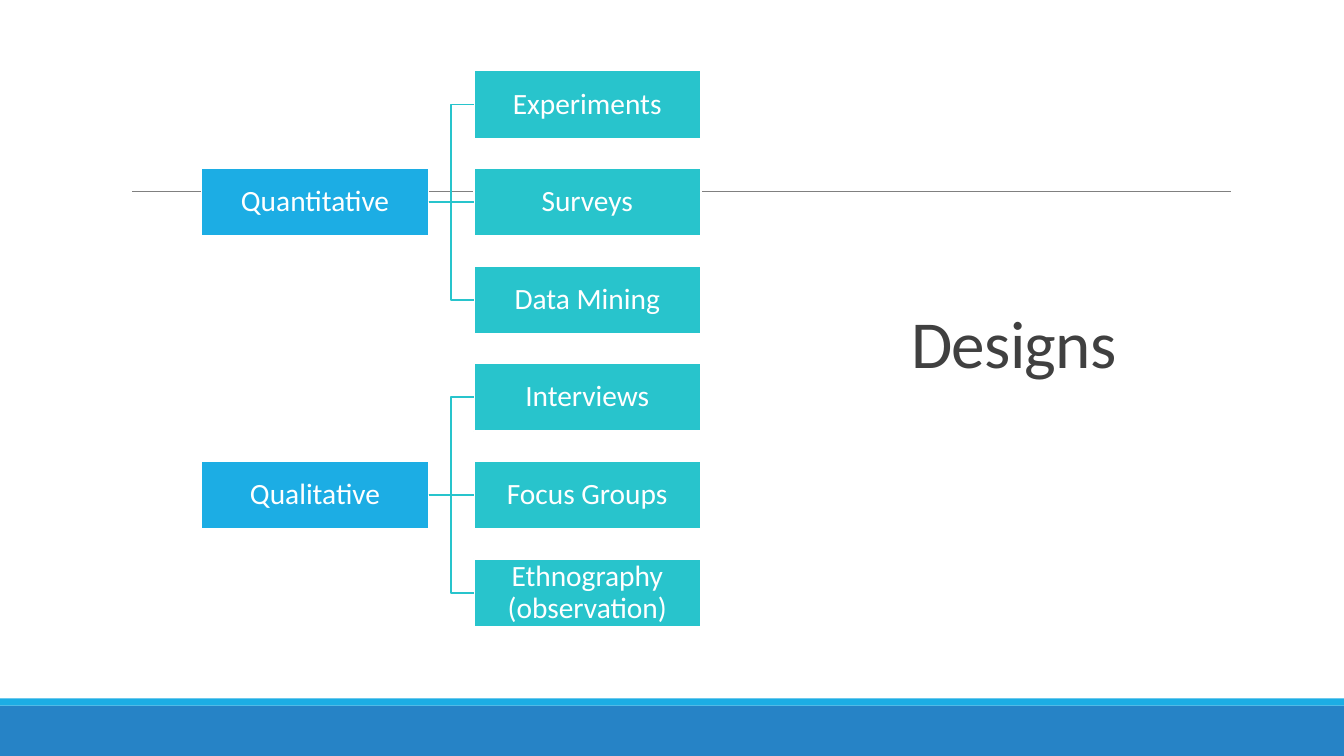
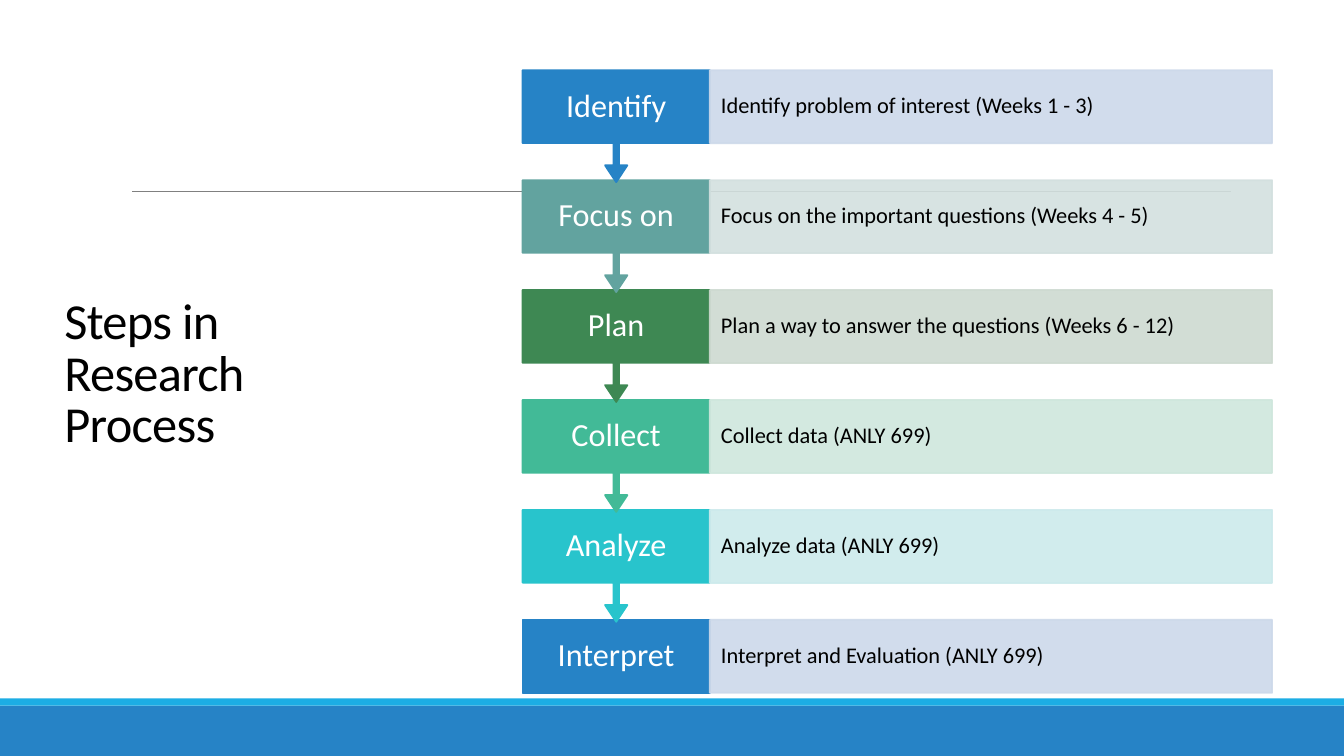
"""Build two slides on research designs and the steps of the research process."""
from lxml import etree
from pptx import Presentation
from pptx.dml.color import RGBColor
from pptx.enum.shapes import MSO_CONNECTOR, MSO_SHAPE
from pptx.enum.text import MSO_ANCHOR, MSO_AUTO_SIZE, PP_ALIGN
from pptx.oxml.ns import qn
from pptx.util import Cm, Pt

RECT, CALLOUT = MSO_SHAPE.RECTANGLE, MSO_SHAPE.DOWN_ARROW_CALLOUT
STRAIGHT, ELBOW = MSO_CONNECTOR.STRAIGHT, MSO_CONNECTOR.ELBOW
LEFT, CENTER = PP_ALIGN.LEFT, PP_ALIGN.CENTER
MIDDLE = MSO_ANCHOR.MIDDLE
NO_AUTOFIT = MSO_AUTO_SIZE.NONE

FONT = "Calibri"
SLIDE_W, SLIDE_H = 33.87, 19.05
LINE_W = 1.25
COLORS = {
    "blue": "2683C6", "sky": "1CADE4", "teal": "28C4CC", "sage": "62A39F",
    "green": "3E8853", "mint": "42BA97", "rule": "808080", "white": "FFFFFF",
    "black": "000000", "dark": "404040", "blue_tint": "CDD9EA",
    "sage_tint": "D3E0DF", "green_tint": "CEDAD1", "mint_tint": "CFE7DD",
    "teal_tint": "CDEAEC",
}

DESIGNS = [
    ("Quantitative", ["Experiments", "Surveys", "Data Mining"]),
    ("Qualitative", ["Interviews", "Focus Groups", "Ethnography (observation)"]),
]
STEPS = [
    ("Identify", "Identify problem of interest (Weeks 1 - 3)", "blue"),
    ("Focus on", "Focus on the important questions (Weeks 4 - 5)", "sage"),
    ("Plan", "Plan a way to answer the questions (Weeks 6 - 12)", "green"),
    ("Collect", "Collect data (ANLY 699)", "mint"),
    ("Analyze", "Analyze data (ANLY 699)", "teal"),
    ("Interpret", "Interpret and Evaluation (ANLY 699)", "blue"),
]


def rgb(name):
    return RGBColor.from_string(COLORS[name])


def write(shape, text, size, color, align, spacing):
    tf = shape.text_frame
    tf.text = text
    tf.word_wrap = True
    tf.auto_size = NO_AUTOFIT
    tf.vertical_anchor = MIDDLE
    p = tf.paragraphs[0]
    p.alignment = align
    p.line_spacing = spacing
    font = p.runs[0].font
    font.name, font.size = FONT, Pt(size)
    font.color.rgb = rgb(color)
    return p.runs[0]


def add_box(s, box, fill, line=None, kind=RECT):
    sp = s.shapes.add_shape(kind, *map(Cm, box))
    sp.shadow.inherit = False
    sp.fill.solid()
    sp.fill.fore_color.rgb = rgb(fill)
    if line:
        sp.line.color.rgb = rgb(line)
        sp.line.width = Pt(LINE_W)
    else:
        sp.line.fill.background()
    return sp


def label(sp, text, size, color, align, inset_x, inset_y):
    write(sp, text, size, color, align, 0.9)
    tf = sp.text_frame
    tf.margin_left = tf.margin_right = Cm(inset_x)
    tf.margin_top = tf.margin_bottom = Cm(inset_y)


def add_line(s, kind, ends, color, width):
    line = s.shapes.add_connector(kind, *map(Cm, ends))
    line.line.color.rgb = rgb(color)
    line.line.width = Pt(width)
    etree.SubElement(line._element.spPr, qn("a:effectLst"))
    return line


def set_opacity(sp, percent):
    for color in sp._element.spPr.iter(qn("a:srgbClr")):
        etree.SubElement(color, qn("a:alpha")).set("val", str(percent * 1000))


def add_slide(prs, title, box, size, color):
    s = prs.slides.add_slide(prs.slide_layouts[5])
    add_box(s, (0, 17.78, SLIDE_W, 1.27), "blue")
    add_box(s, (0, 17.6, SLIDE_W, 0.18), "sky")
    add_line(s, STRAIGHT, (3.33, 4.82, 31.01, 4.82), "rule", 0.5)
    sp = s.shapes.title
    sp.left, sp.top, sp.width, sp.height = map(Cm, box)
    r = write(sp, title, size, color, LEFT, 0.85)
    r.font._element.set("spc", "-50")
    return s


def add_designs(s):
    parent_x, child_x, top = 5.08, 11.94, 1.78
    w, h, pitch = 5.72, 1.71, 2.46

    def node(text, x, row, color):
        sp = add_box(s, (x, top + row * pitch, w, h), color, "white")
        label(sp, text, 21, "white", CENTER, 0.03, 0.03)
        return sp

    row = 0
    for design, methods in DESIGNS:
        middle = row + (len(methods) - 1) / 2
        parent = node(design, parent_x, middle, "sky")
        for method in methods:
            child = node(method, child_x, row, "teal")
            ends = (parent_x + w, top + middle * pitch + h / 2,
                    child_x, top + row * pitch + h / 2)
            kind = STRAIGHT if row == middle else ELBOW
            branch = add_line(s, kind, ends, "teal", LINE_W)
            branch.begin_connect(parent, 3)
            branch.end_connect(child, 1)
            row += 1


def add_steps(s):
    step_x, step_w, detail_w = 13.17, 4.72, 14.17
    top, pitch, h, callout_h = 1.77, 2.77, 1.84, 2.82
    last = len(STEPS) - 1
    for i, (step, detail, color) in reversed(list(enumerate(STEPS))):
        y = top + i * pitch
        if i == last:
            sp = add_box(s, (step_x, y, step_w, h), color, color)
        else:
            sp = add_box(s, (step_x, y, step_w, callout_h), color, color, CALLOUT)
            for k, value in enumerate((0.05, 0.1, 0.15, 0.65)):
                sp.adjustments[k] = value
        label(sp, step, 23, "white", CENTER, 0.33, 0.45)
        tint = color + "_tint"
        sp = add_box(s, (step_x + step_w, y, detail_w, h), tint, tint)
        set_opacity(sp, 90)
        label(sp, detail, 16, "black", LEFT, 0.28, 0.55)


def main():
    prs = Presentation()
    prs.slide_width, prs.slide_height = Cm(SLIDE_W), Cm(SLIDE_H)
    add_designs(add_slide(prs, "Designs", (22.71, 1.75, 9.37, 14.05), 48, "dark"))
    add_steps(add_slide(prs, "Steps in Research Process",
                        (1.37, 1.45, 8.56, 16.03), 36, "black"))
    prs.save("out.pptx")


if __name__ == "__main__":
    main()
